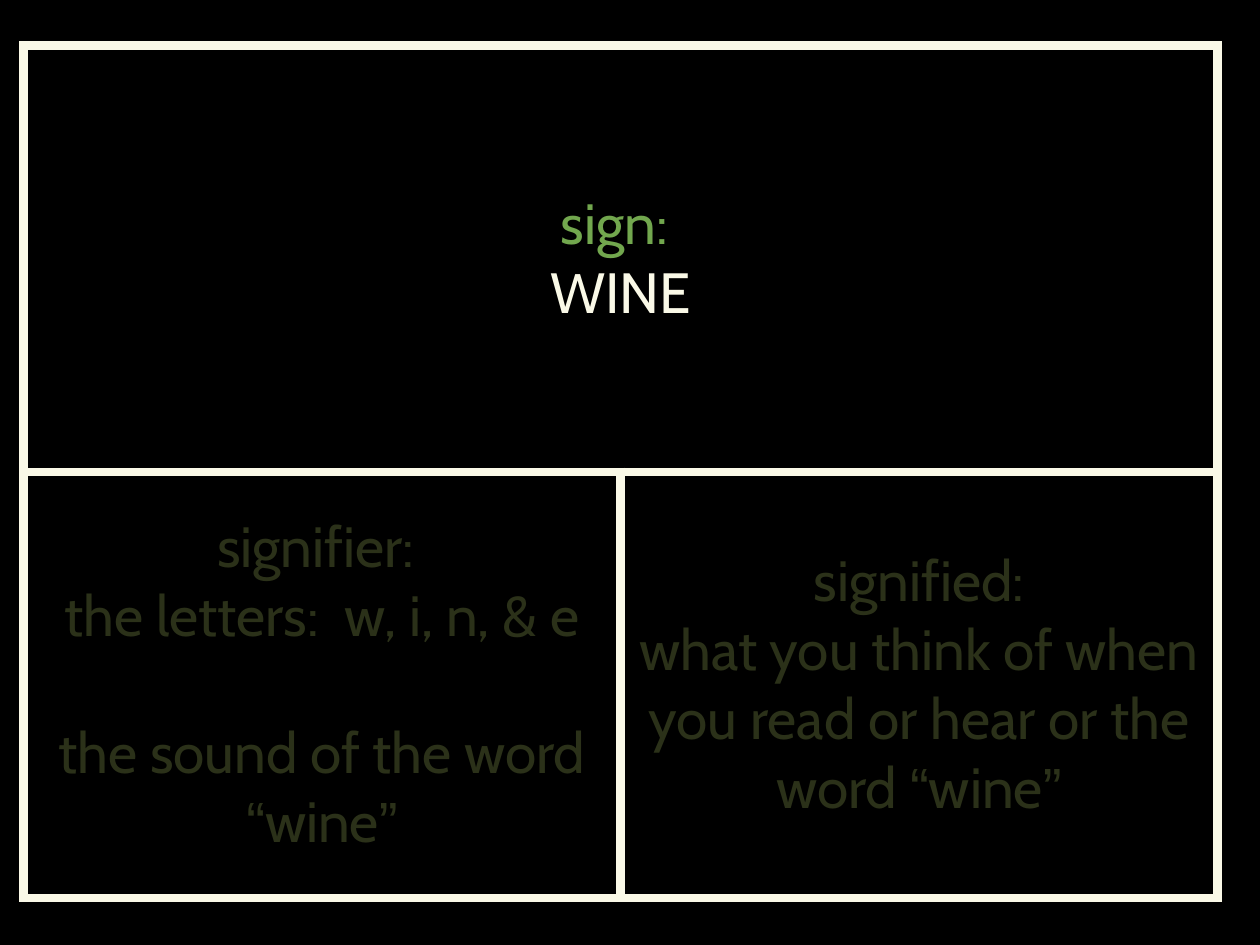
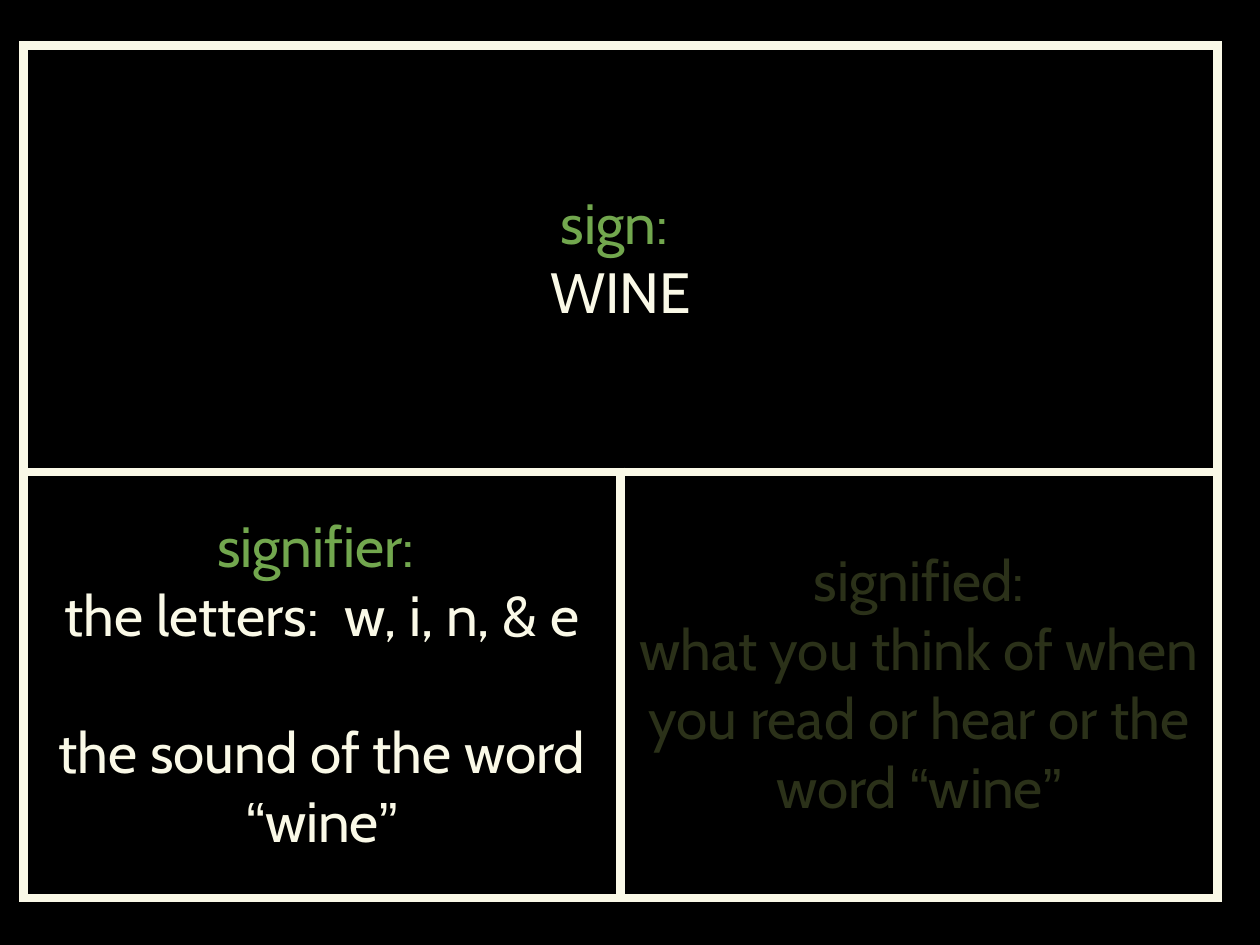
from lxml.etree import SubElement
from pptx import Presentation
from pptx.dml.color import RGBColor
from pptx.enum.text import MSO_ANCHOR, PP_ALIGN
from pptx.oxml.ns import qn
from pptx.util import Pt

COLORS = {"background": "000000", "cream": "FAF9E7", "green": "72A74E", "dim": "2B3119"}
FONT, QUOTE_FONT = "Cabin", "Arial"
SIZE, LINE_HEIGHT = 36, 43.75
LEFT, TOP, COL_WIDTH, ROW_HEIGHT = 15, 29, 379, 270.5
BORDER, INSET = 6, 3

SIGN = ("sign: ", [("WINE", 0)])
SIGNIFIER = ("signifier: ", [("the letters:  w, i, n, & e", 0),
                             ("the sound of the word |“|wine|”", LINE_HEIGHT)])
SIGNIFIED = ("signified:", [("what you think of when you read or hear or the word |“|wine|”", 0)])


def rgb(name):
    return RGBColor.from_string(COLORS[name])


def set_borders(cell):
    tc_pr = cell._tc.get_or_add_tcPr()
    for side in ("lnL", "lnR", "lnT", "lnB"):
        ln = SubElement(tc_pr, qn(f"a:{side}"), w=str(Pt(BORDER)))
        fill = SubElement(ln, qn("a:solidFill"))
        SubElement(fill, qn("a:srgbClr"), val=COLORS["cream"])


def format_cell(cell):
    set_borders(cell)
    cell.fill.background()
    cell.vertical_anchor = MSO_ANCHOR.MIDDLE
    cell.margin_left = cell.margin_right = Pt(INSET)
    cell.margin_top = cell.margin_bottom = Pt(INSET)


def write_line(p, text, color, space_before=0):
    p.alignment = PP_ALIGN.CENTER
    p.space_before = Pt(space_before)
    p.font.size = Pt(SIZE)
    p.font.name = FONT
    p.font.color.rgb = rgb(color)
    for part in text.split("|"):
        r = p.add_run()
        r.text = part
        if part in "“”":
            r.font.name = QUOTE_FONT


def write_term(cell, term, shown):
    heading, lines = term
    tf = cell.text_frame
    write_line(tf.paragraphs[0], heading, "green" if shown else "dim")
    for text, space_before in lines:
        write_line(tf.add_paragraph(), text, "cream" if shown else "dim", space_before)


def add_sign_slide(prs, revealed):
    s = prs.slides.add_slide(prs.slide_layouts[6])
    table = s.shapes.add_table(2, 2, Pt(LEFT), Pt(TOP),
                               Pt(2 * COL_WIDTH), Pt(2 * ROW_HEIGHT)).table
    table.first_row = table.horz_banding = False
    for row in table.rows:
        row.height = Pt(ROW_HEIGHT)
    for cell in table.iter_cells():
        format_cell(cell)
    table.cell(0, 0).merge(table.cell(0, 1))
    terms = [(0, 0, SIGN), (1, 0, SIGNIFIER), (1, 1, SIGNIFIED)]
    for i, (row, col, term) in enumerate(terms):
        write_term(table.cell(row, col), term, i < revealed)


def main():
    prs = Presentation()
    prs.slide_width, prs.slide_height = Pt(800), Pt(600)
    fill = prs.slide_master.background.fill
    fill.solid()
    fill.fore_color.rgb = rgb("background")
    for revealed in (1, 2):
        add_sign_slide(prs, revealed)
    prs.save("out.pptx")


if __name__ == "__main__":
    main()
